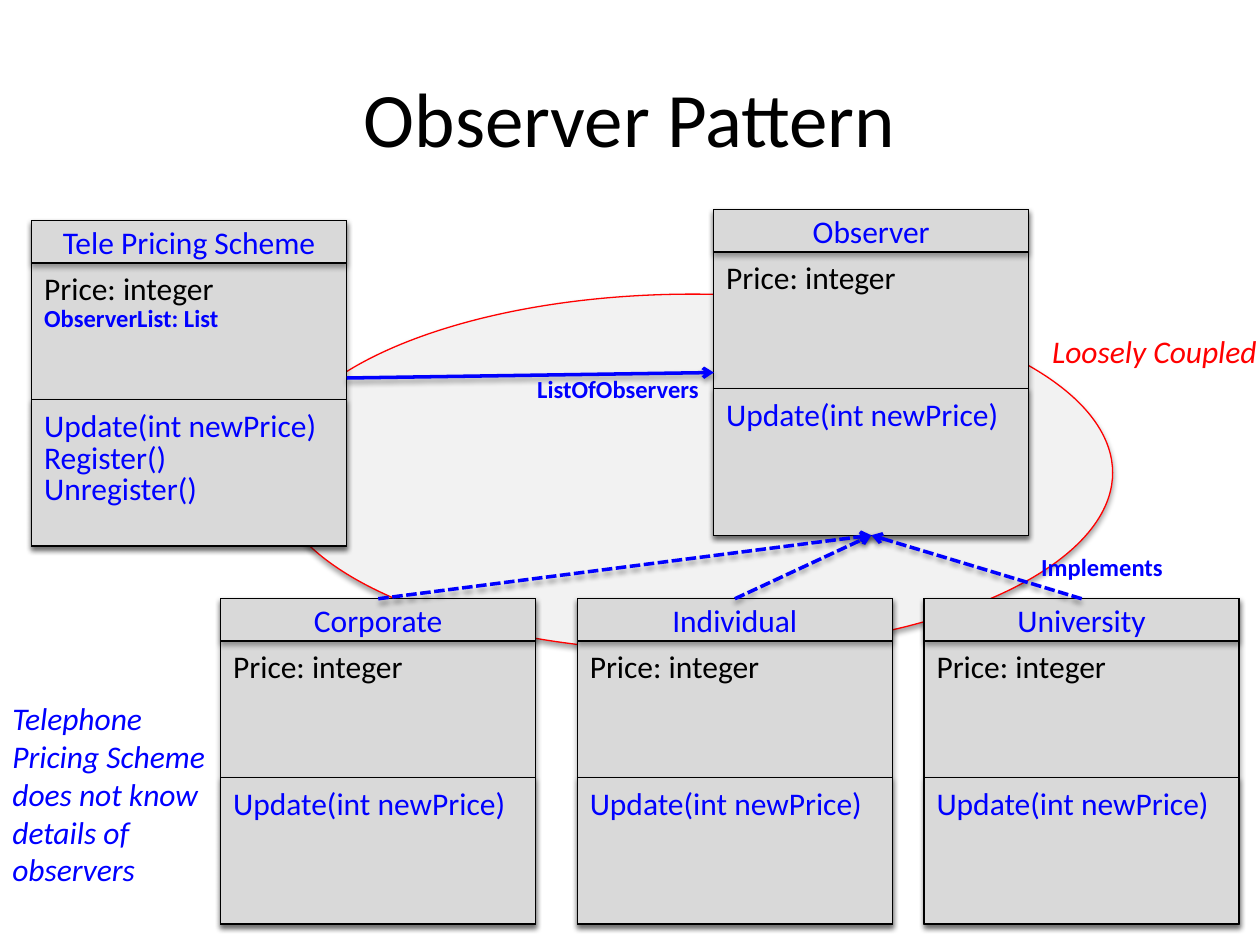
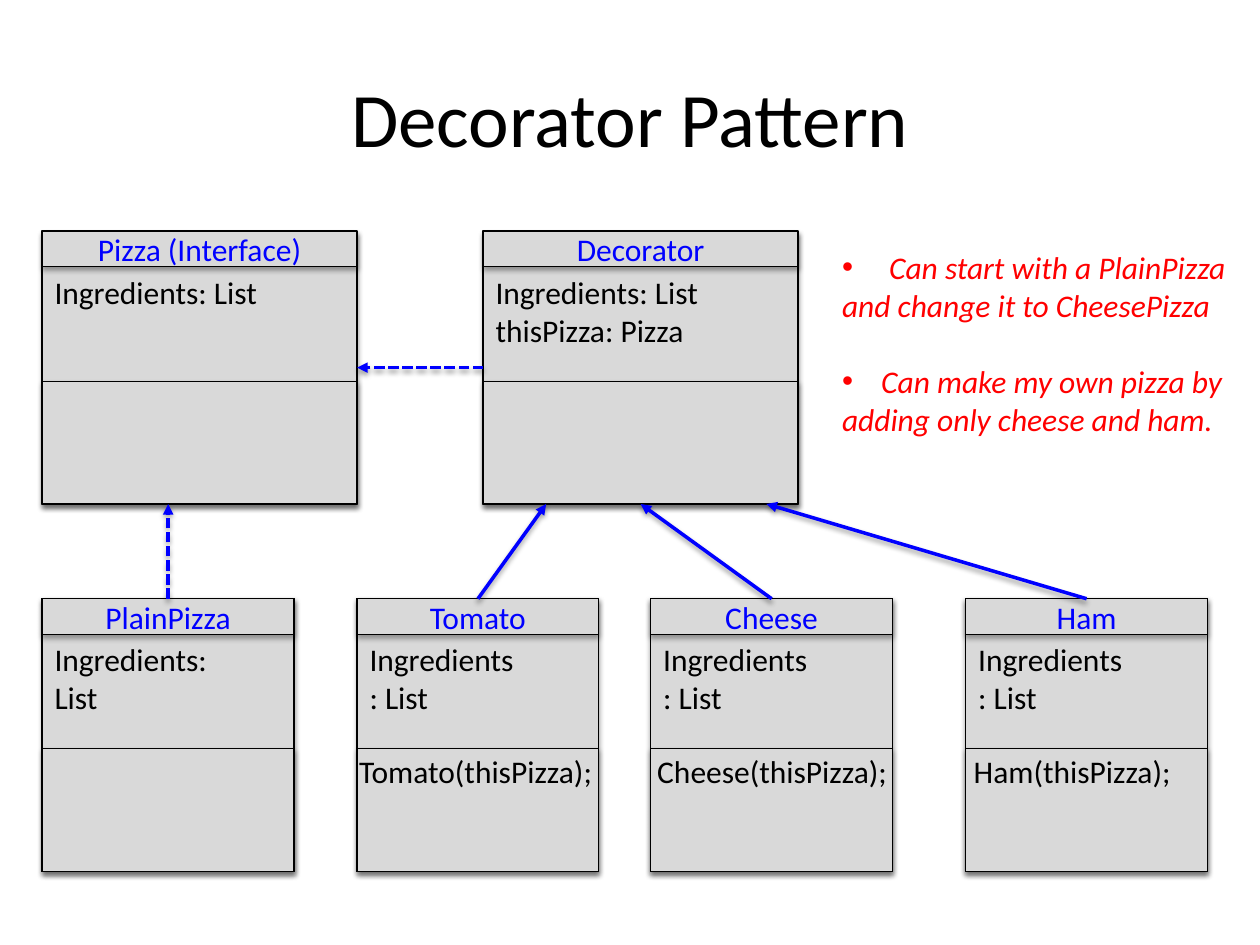
from dataclasses import dataclass
from typing import Optional

from lxml import etree
from pptx import Presentation
from pptx import util as u
from pptx.dml import color
from pptx.enum import dml, shapes, text
from pptx.oxml import ns

# Shared look
FONT = "Calibri"
BLACK = color.RGBColor(0x00, 0x00, 0x00)
BLUE = color.RGBColor(0x00, 0x00, 0xFF)
RED = color.RGBColor(0xFF, 0x00, 0x00)
BOX_GREY = color.RGBColor(0xD9, 0xD9, 0xD9)
ELLIPSE_GREY = color.RGBColor(0xF2, 0xF2, 0xF2)

TITLE_AND_BODY, TITLE_ONLY = 1, 5  # layouts of the default template
TOP, LEFT, BOTTOM, RIGHT = 0, 1, 2, 3  # connection sites of a rectangle

HEADER_SHARE = 0.13  # height of the name band within a class box
METHODS_SHARE = 0.55  # where the methods compartment starts
METHOD_PITCH = 0.64
LINE_HEIGHT = 1.02


@dataclass
class ClassBox:
    """A class diagram box; lengths are in centimetres."""
    name: str
    left: float
    top: float
    width: float
    height: float
    attributes: tuple[str, ...]
    methods: tuple[str, ...] = ()
    attribute_width: Optional[float] = None


@dataclass
class Label:
    lines: tuple[str, ...]
    left: float
    top: float
    width: float
    size: int = 18
    colour: color.RGBColor = BLACK
    bold: bool = False
    italic: bool = False


@dataclass
class Arrow:
    """An arrow; an end with a class name is joined to a side of that box."""
    start: tuple[float, float]
    end: tuple[float, float]
    start_box: Optional[str] = None
    start_side: int = TOP
    end_box: Optional[str] = None
    end_side: int = BOTTOM
    dashed: bool = False
    head: str = "triangle"


# Drawing helpers
def add_shadow(shape, opacity: int) -> None:
    properties = shape._element.spPr
    effects = properties.find(ns.qn("a:effectLst"))
    if effects is None:
        effects = etree.SubElement(properties, ns.qn("a:effectLst"))
    shadow = etree.SubElement(effects, ns.qn("a:outerShdw"), blurRad=str(u.Pt(3.1)),
                              dist=str(u.Pt(1.8)), dir="5400000", rotWithShape="0")
    tint = etree.SubElement(shadow, ns.qn("a:srgbClr"), val=str(BLACK))
    etree.SubElement(tint, ns.qn("a:alpha"), val=str(opacity * 1000))


def add_run(paragraph, words: str, size: int, colour: color.RGBColor,
            bold: bool = False, italic: bool = False) -> None:
    run = paragraph.add_run()
    run.text = words
    run.font.name = FONT
    run.font.size = u.Pt(size)
    run.font.color.rgb = colour
    run.font.bold = bold
    run.font.italic = italic


def add_panel(slide, kind, left: float, top: float, width: float, height: float,
              fill: color.RGBColor = BOX_GREY, line: color.RGBColor = BLACK):
    shape = slide.shapes.add_shape(kind, u.Cm(left), u.Cm(top), u.Cm(width), u.Cm(height))
    shape.shadow.inherit = False
    shape.fill.solid()
    shape.fill.fore_color.rgb = fill
    shape.line.color.rgb = line
    shape.line.width = u.Pt(0.75)
    add_shadow(shape, 35)
    return shape


def add_label(slide, label: Label) -> None:
    box = slide.shapes.add_textbox(u.Cm(label.left), u.Cm(label.top), u.Cm(label.width),
                                   u.Cm(LINE_HEIGHT * len(label.lines)))
    frame = box.text_frame
    frame.word_wrap = True
    for index, line in enumerate(label.lines):
        paragraph = frame.add_paragraph() if index else frame.paragraphs[0]
        add_run(paragraph, line, label.size, label.colour, label.bold, label.italic)


def add_class_box(slide, box: ClassBox):
    rectangle = shapes.MSO_SHAPE.RECTANGLE
    header_height = box.height * HEADER_SHARE
    methods_offset = box.height * METHODS_SHARE
    methods_top = box.top + methods_offset

    outline = add_panel(slide, rectangle, box.left, box.top, box.width, box.height)
    header = add_panel(slide, rectangle, box.left, box.top, box.width, header_height)
    header.text_frame.margin_top = header.text_frame.margin_bottom = 0
    header.text_frame.vertical_anchor = text.MSO_ANCHOR.MIDDLE
    paragraph = header.text_frame.paragraphs[0]
    paragraph.alignment = text.PP_ALIGN.CENTER
    add_run(paragraph, box.name, 18, BLUE)
    add_panel(slide, rectangle, box.left, methods_top, box.width, box.height - methods_offset)

    add_label(slide, Label(box.attributes, box.left, box.top + header_height,
                           box.attribute_width or box.width))
    for row, method in enumerate(box.methods):
        add_label(slide, Label((method,), box.left, methods_top + row * METHOD_PITCH,
                               box.width, colour=BLUE))
    return outline


def add_arrow(slide, arrow: Arrow, outlines: dict) -> None:
    points = [u.Cm(value) for value in arrow.start + arrow.end]
    connector = slide.shapes.add_connector(shapes.MSO_CONNECTOR.STRAIGHT, *points)
    if arrow.start_box:
        connector.begin_connect(outlines[arrow.start_box], arrow.start_side)
    if arrow.end_box:
        connector.end_connect(outlines[arrow.end_box], arrow.end_side)
    connector.line.color.rgb = BLUE
    connector.line.width = u.Pt(2)
    if arrow.dashed:
        connector.line.dash_style = dml.MSO_LINE.SQUARE_DOT
    line = connector._element.spPr.find(ns.qn("a:ln"))
    etree.SubElement(line, ns.qn("a:tailEnd"), type=arrow.head)
    add_shadow(connector, 38)


def add_titled_slide(presentation, layout: int, title: str):
    slide = presentation.slides.add_slide(presentation.slide_layouts[layout])
    shape = slide.shapes.title
    shape.left, shape.top, shape.width, shape.height = (
        u.Cm(1.27), u.Cm(0.76), u.Cm(22.86), u.Cm(3.18))
    shape.text_frame.vertical_anchor = text.MSO_ANCHOR.MIDDLE
    paragraph = shape.text_frame.paragraphs[0]
    paragraph.alignment = text.PP_ALIGN.CENTER
    add_run(paragraph, title, 44, BLACK)
    return slide


def draw_diagram(slide, boxes: list[ClassBox], arrows: list[Arrow],
                 labels: list[Label]) -> None:
    outlines = {box.name: add_class_box(slide, box) for box in boxes}
    for arrow in arrows:
        add_arrow(slide, arrow, outlines)
    for label in labels:
        add_label(slide, label)


def set_bullet(paragraph, indent: float) -> None:
    """Give the paragraph a hanging bullet, or none when the indent is zero."""
    properties = paragraph._p.get_or_add_pPr()
    properties.set("marL", str(u.Cm(indent)))
    properties.set("indent", str(-u.Cm(indent)))
    if indent:
        etree.SubElement(properties, ns.qn("a:buFont"), typeface="Arial")
        etree.SubElement(properties, ns.qn("a:buChar"), char="•")
    else:
        etree.SubElement(properties, ns.qn("a:buNone"))


# Slide 1
def build_observer(presentation) -> None:
    slide = add_titled_slide(presentation, TITLE_ONLY, "Observer Pattern")
    add_panel(slide, shapes.MSO_SHAPE.OVAL, 5.5, 5.93, 16.93, 7.2, ELLIPSE_GREY, RED)

    width, height, child_top = 6.35, 6.56, 12.07
    price, update = ("Price: integer",), "Update(int newPrice)"
    children = {"Corporate": 4.45, "Individual": 11.64, "University": 18.63}
    boxes = [
        ClassBox("Tele Pricing Scheme", 0.64, 4.45, width, height, price,
                 (update, "Register()", "Unregister()")),
        ClassBox("Observer", 14.39, 4.23, width, height, price, (update,)),
    ] + [ClassBox(name, left, child_top, width, height, price, (update,))
         for name, left in children.items()]

    arrows = [Arrow((left + width / 2, child_top), (17.57, 10.8), start_box=name,
                    end_box="Observer", dashed=True, head="arrow")
              for name, left in children.items()]
    arrows.append(Arrow((6.99, 7.62), (14.39, 7.51), end_box="Observer",
                        end_side=LEFT, head="arrow"))

    labels = [
        Label(("ObserverList: List",), 0.64, 5.99, 4.4, 14, BLUE, bold=True),
        Label(("Implements",), 20.74, 11, 3.3, 14, BLUE, bold=True),
        Label(("ListOfObservers",), 10.58, 7.41, 4.1, 14, BLUE, bold=True),
        Label(("Loosely Coupled",), 20.96, 6.56, 5.5, colour=RED, italic=True),
        Label(("Telephone", "Pricing Scheme", "does not know", "details of", "observers"),
              0, 13.97, 4.8, colour=BLUE, italic=True),
    ]
    draw_diagram(slide, boxes, arrows, labels)


# Slide 2
def build_decorator(presentation) -> None:
    slide = add_titled_slide(presentation, TITLE_AND_BODY, "Decorator Pattern")

    # Remarks: text, bullet indent, space before
    remarks = [
        ("Can start with a PlainPizza", 0.95, 0),
        ("and change it to CheesePizza", 0, 0),
        ("Can make my own pizza by", 0.79, 22),
        ("adding only cheese and ham.", 0, 0),
    ]
    body = slide.placeholders[1]
    body.left, body.top, body.width, body.height = (
        u.Cm(16.72), u.Cm(4.87), u.Cm(8.4), u.Cm(5.64))
    frame = body.text_frame
    frame.auto_size = text.MSO_AUTO_SIZE.NONE
    for index, (words, indent, space) in enumerate(remarks):
        paragraph = frame.add_paragraph() if index else frame.paragraphs[0]
        paragraph.space_before = u.Pt(space)
        set_bullet(paragraph, indent)
        add_run(paragraph, words, 18, RED, italic=True)

    # Classes
    height, parent_top, child_top = 5.5, 4.66, 12.07
    parent_bottom = parent_top + height
    ingredients = "Ingredients: List"
    toppings = {"Tomato": 7.2, "Cheese": 13.12, "Ham": 19.47}
    topping_width = 4.87
    boxes = [
        ClassBox("Pizza (Interface)", 0.85, parent_top, 6.35, height, (ingredients,)),
        ClassBox("Decorator", 9.74, parent_top, 6.35, height,
                 (ingredients, "thisPizza: Pizza")),
        ClassBox("PlainPizza", 0.85, child_top, 5.08, height, (ingredients,),
                 attribute_width=3.73),
    ] + [ClassBox(name, left, child_top, topping_width, height, (ingredients,),
                  attribute_width=3.55) for name, left in toppings.items()]

    arrows = [
        Arrow((3.39, child_top), (3.39, parent_bottom), start_box="PlainPizza", dashed=True),
        Arrow((9.63, child_top), (11.01, parent_bottom), start_box="Tomato"),
        Arrow((15.56, child_top), (12.91, parent_bottom), start_box="Cheese",
              end_box="Decorator"),
        Arrow((21.91, child_top), (15.45, parent_bottom), start_box="Ham"),
        Arrow((9.74, 7.41), (7.2, 7.41), start_box="Decorator", start_side=LEFT,
              end_box="Pizza (Interface)", end_side=RIGHT, dashed=True),
    ]
    constructors = {"Tomato": 6.99, "Cheese": 13, "Ham": 19.38}
    labels = [Label((f"{name}(thisPizza);",), left, 15.04, 5.4)
              for name, left in constructors.items()]
    draw_diagram(slide, boxes, arrows, labels)


def main() -> None:
    presentation = Presentation()
    presentation.slide_width, presentation.slide_height = u.Cm(25.4), u.Cm(19.05)
    build_observer(presentation)
    build_decorator(presentation)
    presentation.save("out.pptx")


if __name__ == "__main__":
    main()
